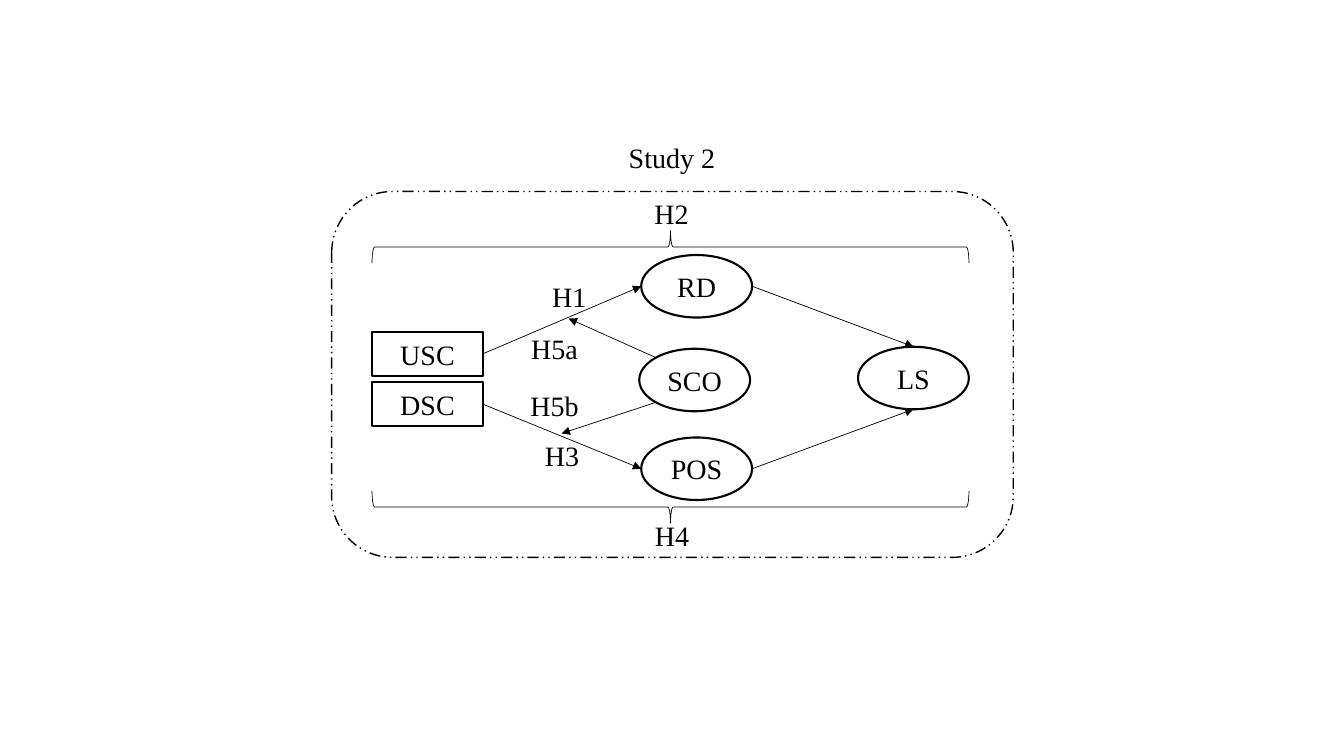
from pptx import Presentation
from pptx.dml.color import RGBColor
from pptx.enum.dml import MSO_LINE
from pptx.enum.shapes import MSO_CONNECTOR, MSO_SHAPE
from pptx.enum.text import MSO_ANCHOR, MSO_AUTO_SIZE, PP_ALIGN
from pptx.oxml.ns import qn
from pptx.util import Inches, Pt
from lxml import etree

RECTANGLE = MSO_SHAPE.RECTANGLE
ELLIPSE = MSO_SHAPE.OVAL
FRAME = MSO_SHAPE.ROUNDED_RECTANGLE
BRACE = MSO_SHAPE.LEFT_BRACE
STRAIGHT = MSO_CONNECTOR.STRAIGHT
DASH = MSO_LINE.DASH_DOT_DOT
CENTER = PP_ALIGN.CENTER
TOP = MSO_ANCHOR.TOP
MIDDLE = MSO_ANCHOR.MIDDLE
GROW = MSO_AUTO_SIZE.SHAPE_TO_FIT_TEXT
COLORS = {"ink": "000000"}
TOP_SIDE, RIGHT_SIDE = 0, 3
TITLE_ONLY = 5


def write(frame, text, size=20, font="Times New Roman", color="ink", anchor=TOP):
    frame.word_wrap = True
    frame.auto_size = GROW
    frame.vertical_anchor = anchor
    paragraph = frame.paragraphs[0]
    paragraph.alignment = CENTER
    run = paragraph.add_run()
    run.text = text
    run.font.size = Pt(size)
    run.font.name = font
    run.font.color.rgb = RGBColor.from_string(COLORS[color])


class Diagram:
    def __init__(self, slide, ink="ink", thin=0.5, bold=1.5):
        self.slide = slide
        self.ink = RGBColor.from_string(COLORS[ink])
        self.thin = thin
        self.bold = bold

    def title(self, text, left, top, width, height):
        heading = self.slide.shapes.title
        heading.left, heading.top = Inches(left), Inches(top)
        heading.width, heading.height = Inches(width), Inches(height)
        write(heading.text_frame, text)

    def label(self, text, left, top, width, height=0.44):
        box = self.slide.shapes.add_textbox(
            Inches(left), Inches(top), Inches(width), Inches(height))
        write(box.text_frame, text)

    def outline(self, kind, left, top, width, height, weight):
        shape = self.slide.shapes.add_shape(
            kind, Inches(left), Inches(top), Inches(width), Inches(height))
        shape.shadow.inherit = False
        shape.fill.background()
        shape.line.color.rgb = self.ink
        shape.line.width = Pt(weight)
        return shape

    def node(self, text, kind, left, top, height):
        shape = self.outline(kind, left, top, 1.1, height, self.bold)
        write(shape.text_frame, text, anchor=MIDDLE)
        return shape

    def brace(self, top, rotation):
        self.outline(BRACE, 6.49, top, 0.32, 5.92, self.thin).rotation = rotation

    def frame(self, left, top, width, height):
        self.outline(FRAME, left, top, width, height, 1).line.dash_style = DASH

    def arrow(self, start, end, source=None, target=None):
        arrow = self.slide.shapes.add_connector(
            STRAIGHT, *[Inches(value) for value in (*start, *end)])
        if source is not None:
            arrow.begin_connect(source, RIGHT_SIDE)
        if target is not None:
            arrow.end_connect(target, TOP_SIDE)
        arrow.line.color.rgb = self.ink
        arrow.line.width = Pt(self.thin)
        etree.SubElement(arrow.line._get_or_add_ln(), qn("a:tailEnd"), type="triangle")
        etree.SubElement(arrow._element.spPr, qn("a:effectLst"))


def main():
    deck = Presentation()
    deck.slide_width, deck.slide_height = Inches(13.33), Inches(7.5)
    model = Diagram(deck.slides.add_slide(deck.slide_layouts[TITLE_ONLY]))

    model.title("Study 2", 6.04, 1.34, 1.25, 0.44)
    model.frame(3.29, 1.9, 6.76, 3.63)

    usc, dsc = [model.node(text, RECTANGLE, 3.69, top, 0.44)
                for text, top in (("USC", 3.29), ("DSC", 3.79))]
    sco, rd, pos, ls = [
        model.node(text, ELLIPSE, left, top, 0.62)
        for text, left, top in (("SCO", 6.34, 3.46), ("RD", 6.36, 2.53),
                                ("POS", 6.36, 4.34), ("LS", 8.51, 3.44))]

    model.arrow((4.79, 3.51), (6.36, 2.84), source=usc)
    model.arrow((4.79, 4.01), (6.36, 4.65), source=dsc)
    model.arrow((7.46, 2.84), (9.06, 3.44), target=ls)
    model.arrow((7.46, 4.65), (9.06, 4.06))
    model.arrow((6.51, 3.55), (5.64, 3.16))
    model.arrow((6.51, 3.99), (5.57, 4.3))

    for text, left, top, width in (
            ("H1", 5.27, 2.72, 0.75), ("H3", 5.2, 4.3, 0.75),
            ("H5a", 5.08, 3.24, 0.84), ("H5b", 5.08, 3.81, 0.84),
            ("H2", 6.22, 1.9, 0.88), ("H4", 6.29, 5.09, 0.75)):
        model.label(text, left, top, width)

    for top, rotation in ((-0.51, 90), (2.07, 270)):
        model.brace(top, rotation)

    deck.save("out.pptx")


if __name__ == "__main__":
    main()
